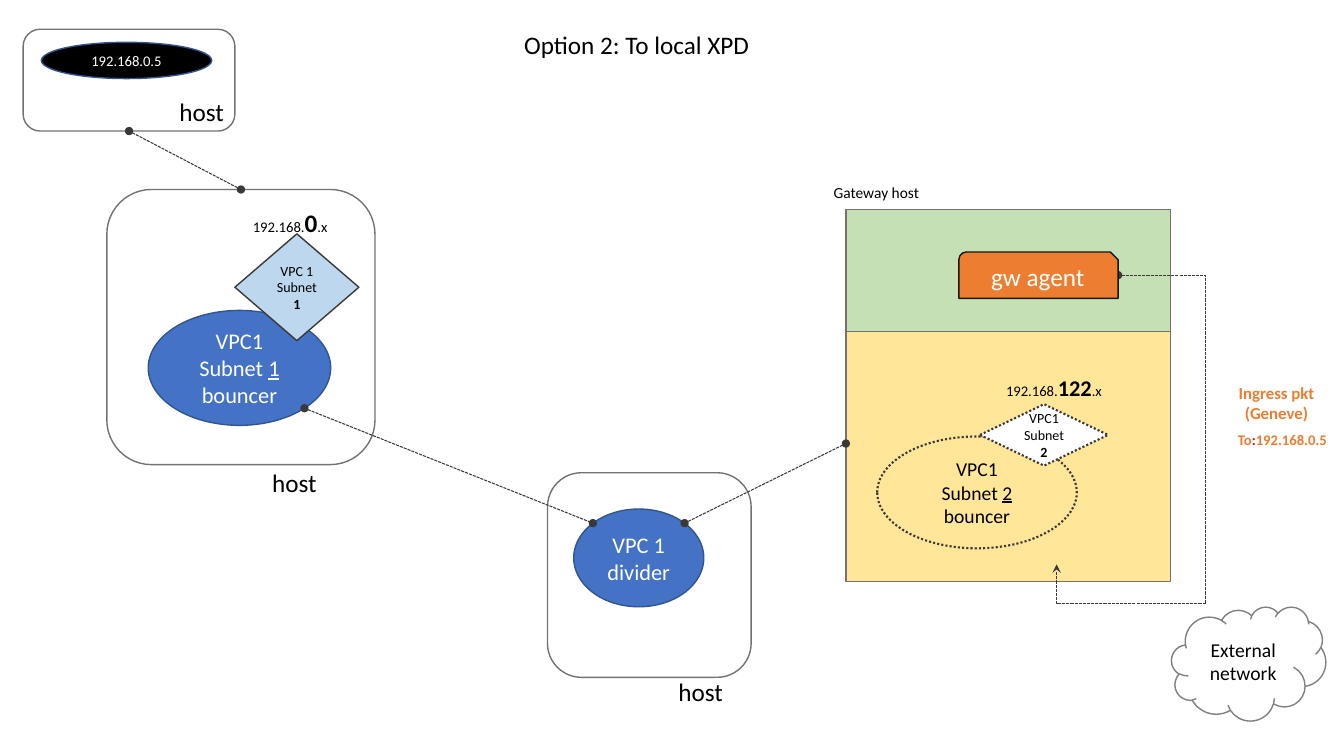
from lxml import etree
from pptx import Presentation
from pptx import util as u
from pptx.dml.color import RGBColor
from pptx.enum import dml, shapes, text
from pptx.oxml.ns import qn

PX = 9144  # 100 px to the inch
FONT = "Calibri"

BLACK = RGBColor(0x00, 0x00, 0x00)
WHITE = RGBColor(0xFF, 0xFF, 0xFF)
RED = RGBColor(0xFF, 0x00, 0x00)
GRAY = RGBColor(0x76, 0x71, 0x71)
CLOUD_GRAY = RGBColor(0x80, 0x80, 0x80)
DARK = RGBColor(0x3B, 0x38, 0x38)
NEAR_BLACK = RGBColor(0x18, 0x17, 0x17)
BLUE = RGBColor(0x44, 0x72, 0xC4)
DARK_BLUE = RGBColor(0x32, 0x54, 0x91)
LIGHT_BLUE = RGBColor(0xBD, 0xD7, 0xEE)
GREEN = RGBColor(0xC5, 0xE0, 0xB4)
YELLOW = RGBColor(0xFF, 0xE6, 0x99)
ORANGE = RGBColor(0xED, 0x7D, 0x31)

SHAPE = shapes.MSO_SHAPE
DOTTED = dml.MSO_LINE.ROUND_DOT
BOLD = {"bold": True}
UNDERLINED = {"underline": True}


def emu(lengths):
    return [u.Emu(length * PX) for length in lengths]


def inside(box, left, top, width, height):
    """Shift a place given relative to the corner of box onto the slide."""
    return box[0] + left, box[1] + top, width, height


def write(frame, lines, size, color, align):
    """Fill a text frame; a line is a list of (words, font settings) runs."""
    for index, line in enumerate(lines):
        paragraph = frame.paragraphs[0] if index == 0 else frame.add_paragraph()
        paragraph.alignment = align
        for words, settings in line:
            run = paragraph.add_run()
            run.text = words
            run.font.name = FONT
            run.font.size = u.Pt(settings.get("size", size))
            run.font.color.rgb = settings.get("color", color)
            run.font.bold = settings.get("bold", False)
            run.font.underline = settings.get("underline", False)


def add_node(slide, kind, box, fill, line, lines=(), size=16, color=BLACK,
             weight=1, dash=None):
    shape = slide.shapes.add_shape(kind, *emu(box))
    shape.shadow.inherit = False
    if fill is None:
        shape.fill.background()
    else:
        shape.fill.solid()
        shape.fill.fore_color.rgb = fill
    shape.line.color.rgb = line
    shape.line.width = u.Pt(weight)
    if dash is not None:
        shape.line.dash_style = dash
    shape.text_frame.word_wrap = True
    shape.text_frame.vertical_anchor = text.MSO_ANCHOR.MIDDLE
    write(shape.text_frame, lines, size, color, text.PP_ALIGN.CENTER)
    return shape


def add_label(slide, box, runs, size, color=BLACK, wrap=False):
    frame = slide.shapes.add_textbox(*emu(box)).text_frame
    frame.word_wrap = wrap
    frame.auto_size = text.MSO_AUTO_SIZE.SHAPE_TO_FIT_TEXT
    align = text.PP_ALIGN.CENTER if wrap else text.PP_ALIGN.LEFT
    write(frame, [runs], size, color, align)


def add_address(slide, box, subnet, size):
    """Label an address range with its subnet number enlarged."""
    add_label(slide, box, [("192.168.", {}), (subnet, {"bold": True, "size": size}),
                           (".x", {})], 10.5)


def subnet_lines(name, number, style, ending=""):
    second = [("Subnet ", {}), (number, style)]
    if ending:
        second.append((ending, {}))
    return [[(name, {})], second]


def add_link(slide, start, end, tail="oval", kind=shapes.MSO_CONNECTOR.STRAIGHT):
    link = slide.shapes.add_connector(kind, *emu(start + end))
    link.line.color.rgb = DARK
    link.line.width = u.Pt(0.75)
    link.line.dash_style = dml.MSO_LINE.SQUARE_DOT
    outline = link.line._get_or_add_ln()
    outline.find(qn("a:prstDash")).set("val", "sysDash")
    etree.SubElement(outline, qn("a:headEnd"), type="oval")
    etree.SubElement(outline, qn("a:tailEnd"), type=tail)
    etree.SubElement(link._element.spPr, qn("a:effectLst"))
    return link


def add_ingress_path(slide, start, end, turn_x, turn_y):
    """Route from start right to turn_x, down to turn_y, then back up to end."""
    link = add_link(slide, start, end, "stealth", shapes.MSO_CONNECTOR.ELBOW)
    geometry = link._element.spPr.find(qn("a:prstGeom"))
    geometry.set("prst", "bentConnector4")
    adjustments = geometry.find(qn("a:avLst"))
    if adjustments is None:
        adjustments = etree.SubElement(geometry, qn("a:avLst"))
    ratios = ((turn_x - start[0]) / (end[0] - start[0]),
              (turn_y - start[1]) / (end[1] - start[1]))
    for number, ratio in enumerate(ratios, 1):
        etree.SubElement(adjustments, qn("a:gd"), name=f"adj{number}",
                         fmla=f"val {round(ratio * 100000)}")


def add_host(slide, box, label_left, label_top):
    host = add_node(slide, SHAPE.ROUNDED_RECTANGLE, box, None, GRAY)
    add_label(slide, inside(box, label_left, label_top, 65, 40), [("host", {})], 18)
    return host


def add_client_host(slide, box):
    host = add_host(slide, box, 145, 62)
    add_node(slide, SHAPE.OVAL, inside(box, 18, 13, 169, 36), BLACK, DARK_BLUE,
             [[("192.168.0.5", {})]], 10.5, WHITE)
    return host


def add_bouncer_host(slide, box):
    host = add_host(slide, box, 154, 271)
    add_node(slide, SHAPE.OVAL, inside(box, 41, 120, 181, 114), BLUE, DARK_BLUE,
             subnet_lines("VPC1", "1", UNDERLINED, " bouncer"), 16, WHITE)
    add_node(slide, SHAPE.DIAMOND, inside(box, 127, 44, 123, 106), LIGHT_BLUE, DARK,
             subnet_lines("VPC 1", "1", BOLD), 10)
    add_address(slide, inside(box, 135, 13, 96, 40), "0", 18)
    return host


def add_divider_host(slide, box):
    add_host(slide, box, 120, 197)
    add_node(slide, SHAPE.OVAL, inside(box, 26, 36, 129, 97), BLUE, DARK_BLUE,
             [[("VPC 1 divider", {})]], 16, WHITE)


def add_gateway(slide, box):
    left, top, width, height = box
    split = 121
    add_node(slide, SHAPE.RECTANGLE, inside(box, 0, split, width, height - split),
             YELLOW, GRAY)
    add_label(slide, inside(box, -22, -31, 106, 29), [("Gateway host", {})], 11)
    add_node(slide, SHAPE.OVAL, inside(box, 31, 225, 198, 111), None, DARK,
             subnet_lines("VPC1", "2", UNDERLINED, " bouncer"), 14,
             weight=1.5, dash=DOTTED)
    add_node(slide, SHAPE.DIAMOND, inside(box, 133, 193, 127, 61), WHITE, DARK,
             subnet_lines("VPC1", "2", BOLD), 10, weight=1.5, dash=DOTTED)
    add_node(slide, SHAPE.RECTANGLE, inside(box, 0, 0, width, split), GREEN, GRAY)
    add_ingress_path(slide, (left + 270, top + 65), (left + 209, top + 352),
                     left + 357, top + 391)
    add_node(slide, SHAPE.SNIP_ROUND_RECTANGLE, inside(box, 112, 42, 158, 46),
             ORANGE, NEAR_BLACK, [[("gw agent", {})]], 18, WHITE)
    add_address(slide, inside(box, 149, 158, 117, 37), "122", 16)


def add_ingress_note(slide, box):
    add_label(slide, inside(box, 0, 0, 132, 50), [("Ingress pkt (Geneve)", BOLD)],
              12, ORANGE, wrap=True)
    add_label(slide, inside(box, 18, 47, 115, 29),
              [("To", BOLD), (":", {"bold": True, "color": RED}),
               ("192.168.0.5", BOLD)], 10.5, ORANGE)


def main():
    presentation = Presentation()
    presentation.slide_width, presentation.slide_height = emu((1333, 750))
    slide = presentation.slides.add_slide(presentation.slide_layouts[6])

    add_label(slide, (510, 24, 246, 40), [("Option 2: To local XPD", {})], 18)
    add_gateway(slide, (839, 208, 322, 369))
    add_divider_host(slide, (543, 469, 202, 203))
    bouncer_host = add_bouncer_host(slide, (106, 188, 266, 273))
    client_host = add_client_host(slide, (23, 29, 210, 101))
    add_node(slide, SHAPE.CLOUD, (1162, 602, 153, 113), None, CLOUD_GRAY,
             [[("External network", {})]], 14)
    add_ingress_note(slide, (1200, 375, 132, 76))

    add_link(slide, (302, 405), (588, 519))
    add_link(slide, (839, 440), (679, 519))
    host_link = add_link(slide, (128, 130), (239, 188))
    host_link.begin_connect(client_host, 2)
    host_link.end_connect(bouncer_host, 0)

    presentation.save("out.pptx")


if __name__ == "__main__":
    main()
